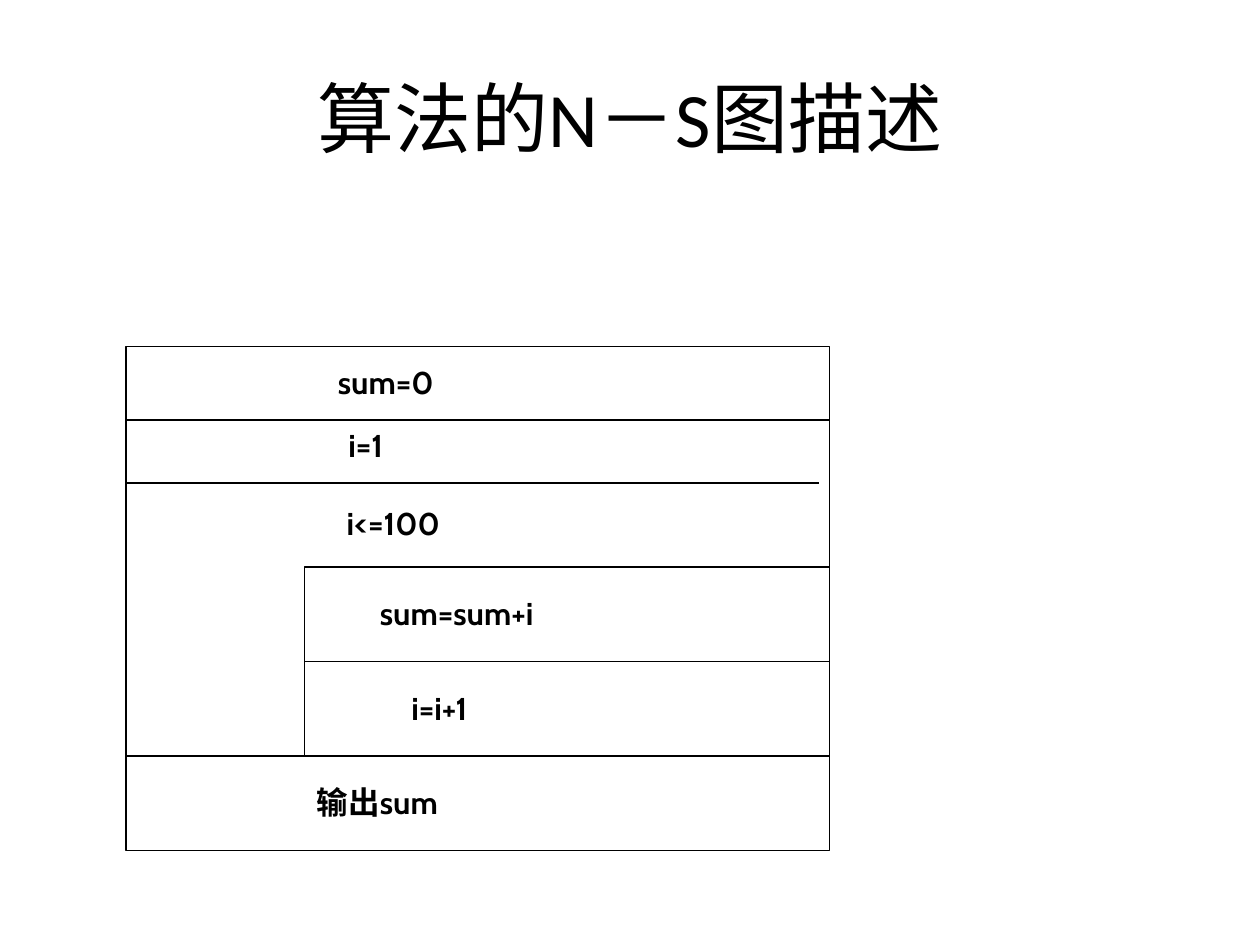
from dataclasses import dataclass

import pptx
import pptx.dml.color
import pptx.enum.shapes
import pptx.enum.text
import pptx.oxml
import pptx.oxml.ns
import pptx.util

Pt = pptx.util.Pt
COLORS = {"ink": "000000", "paper": "FFFFFF"}
LINE_WIDTH = 0.75
LABEL_HEIGHT = 29

# Edges of the diagram and of the loop body inside it, in points
LEFT, RIGHT, TOP, BOTTOM = 72, 474, 198, 486
LOOP_LEFT, LOOP_TOP, LOOP_BOTTOM = 174, 324, 432


@dataclass
class Box:
    left: float
    top: float
    right: float
    bottom: float


@dataclass
class Divider:
    left: float
    right: float
    y: float


@dataclass
class Label:
    text: str
    left: float
    top: float
    width: float


BOXES = [
    Box(LEFT, TOP, RIGHT, BOTTOM),
    Box(LOOP_LEFT, LOOP_TOP, RIGHT, LOOP_BOTTOM),
]
DIVIDERS = [
    Divider(LEFT, RIGHT, 240),
    Divider(LEFT, 468, 276),
    Divider(LOOP_LEFT, RIGHT, (LOOP_TOP + LOOP_BOTTOM) / 2),
    Divider(LEFT, RIGHT, LOOP_BOTTOM),
]
LABELS = [
    Label("sum=0", 186, 204, 78.5),
    Label("i=1", 192, 240, 46),
    Label("i<=100", 191, 284.5, 83.5),
    Label("sum=sum+i", 210, 336, 125.5),
    Label("i=i+1", 228, 390, 66),
    Label("输出sum", 174, 444, 88.5),
]


def color(name: str) -> pptx.dml.color.RGBColor:
    return pptx.dml.color.RGBColor.from_string(COLORS[name])


def write_text(frame, text: str, *, font: str, size: float, bold: bool = False,
               align=pptx.enum.text.PP_ALIGN.LEFT) -> None:
    paragraph = frame.paragraphs[0]
    paragraph.alignment = align
    run = paragraph.add_run()
    run.text = text
    run.font.name = font
    run.font.size = Pt(size)
    run.font.bold = bold
    run.font.color.rgb = color("ink")


def style_line(shape) -> None:
    shape.line.color.rgb = color("ink")
    shape.line.width = Pt(LINE_WIDTH)


def draw_box(slide, box: Box) -> None:
    shape = slide.shapes.add_shape(
        pptx.enum.shapes.MSO_SHAPE.RECTANGLE, Pt(box.left), Pt(box.top),
        Pt(box.right - box.left), Pt(box.bottom - box.top))
    shape.shadow.inherit = False
    shape.fill.background()
    style_line(shape)


def draw_divider(slide, divider: Divider) -> None:
    connector = slide.shapes.add_connector(
        pptx.enum.shapes.MSO_CONNECTOR.STRAIGHT,
        Pt(divider.left), Pt(divider.y), Pt(divider.right), Pt(divider.y))
    style_line(connector)
    connector._element.spPr.append(
        pptx.oxml.parse_xml(f"<a:effectLst {pptx.oxml.ns.nsdecls('a')}/>"))


def draw_label(slide, label: Label) -> None:
    text_box = slide.shapes.add_textbox(
        Pt(label.left), Pt(label.top), Pt(label.width), Pt(LABEL_HEIGHT))
    frame = text_box.text_frame
    frame.word_wrap = False
    frame.auto_size = pptx.enum.text.MSO_AUTO_SIZE.SHAPE_TO_FIT_TEXT
    write_text(frame, label.text, font="Cabin", size=18, bold=True)


def main() -> None:
    presentation = pptx.Presentation()
    presentation.slide_width = Pt(720)
    presentation.slide_height = Pt(540)
    slide = presentation.slides.add_slide(presentation.slide_layouts[5])
    slide.background.fill.solid()
    slide.background.fill.fore_color.rgb = color("paper")

    # Title
    title = slide.shapes.title
    title.left, title.top, title.width, title.height = Pt(36), Pt(21.6), Pt(648), Pt(90)
    title.text_frame.vertical_anchor = pptx.enum.text.MSO_ANCHOR.MIDDLE
    write_text(title.text_frame, "算法的N－S图描述", font="Calibri", size=44,
               align=pptx.enum.text.PP_ALIGN.CENTER)

    # Diagram frames, row dividers and statements
    for box in BOXES:
        draw_box(slide, box)
    for divider in DIVIDERS:
        draw_divider(slide, divider)
    for label in LABELS:
        draw_label(slide, label)

    presentation.save("out.pptx")


if __name__ == "__main__":
    main()
